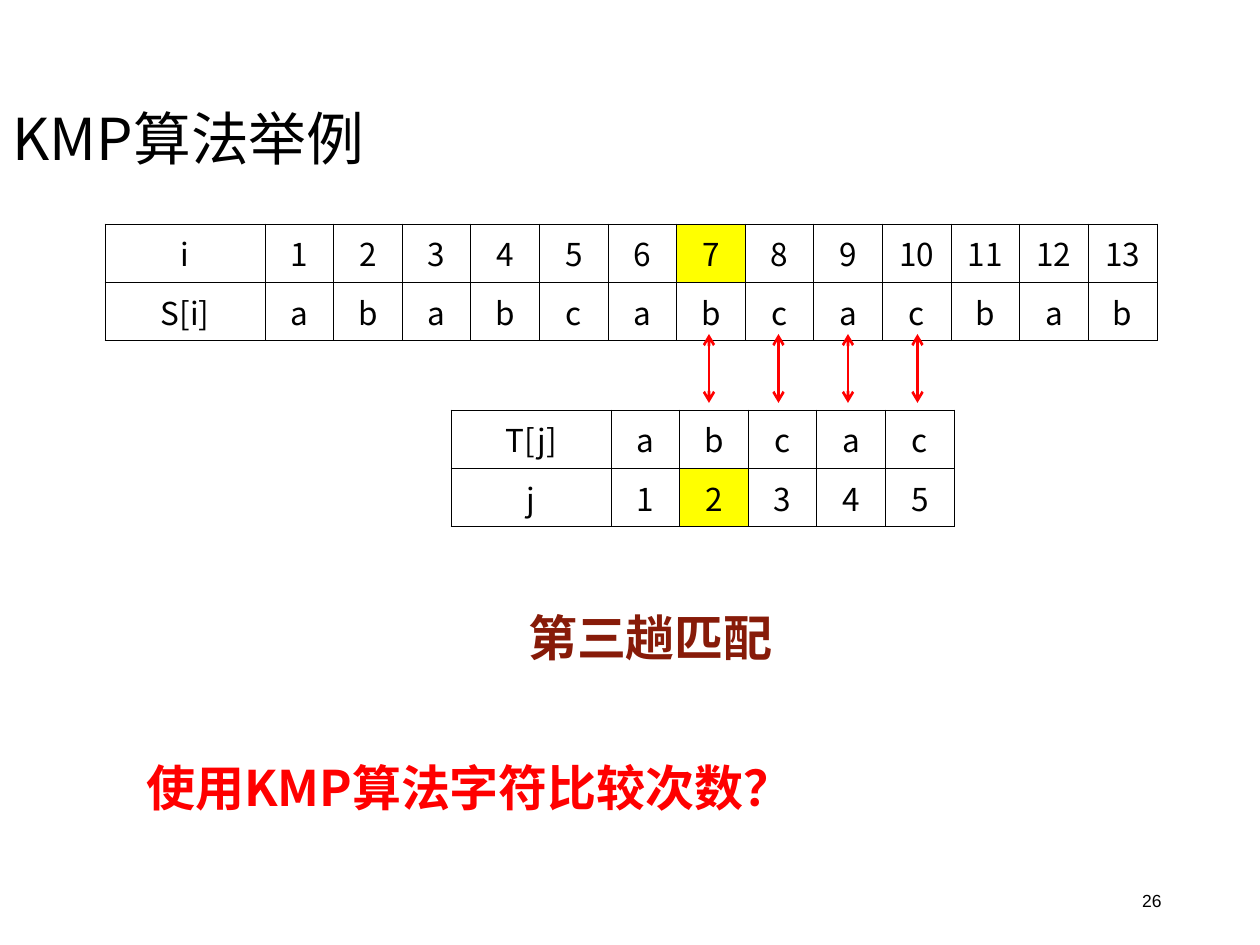
from lxml import etree
from pptx import Presentation
from pptx import util as u
from pptx.dml.color import RGBColor
from pptx.enum import shapes, text
from pptx.oxml import ns

TITLE = ("KMP算法举例", (0, 50, 1087, 183))
TABLES = [
    {"at": (105, 224), "rows": [["i", *map(str, range(1, 14))], ["S[i]", *"ababcabcacbab"]],
     "marked": (0, 7)},
    {"at": (451, 410), "rows": [["T[j]", *"abcac"], ["j", *"12345"]], "marked": (1, 2)},
]
LABEL_WIDTH, TABLE_WIDTH, INDEX_COUNT, ROW_HEIGHT = 160, 1052, 13, 51
MATCHES = {"left": 709, "step": 69.5, "count": 4, "top": 334, "bottom": 403}
TEXTS = [
    ("26", (890, 876, 284, 50), "number"),
    ("第三趟匹配", (392, 601, 517, 72), "caption"),
    ("使用KMP算法字符比较次数？", (134, 751, 893, 72), "question"),
]

CJK, LATIN = "Noto Sans CJK SC", "Arial"
LEFT, CENTER, RIGHT = text.PP_ALIGN.LEFT, text.PP_ALIGN.CENTER, text.PP_ALIGN.RIGHT
TOP, MIDDLE = text.MSO_ANCHOR.TOP, text.MSO_ANCHOR.MIDDLE
THEME = {
    "title": {"size": 33, "name": CJK, "bold": False, "color": "000000", "align": LEFT, "anchor": MIDDLE},
    "cell": {"size": 18, "name": CJK, "bold": False, "color": "000000", "align": CENTER, "anchor": TOP},
    "number": {"size": 10, "name": LATIN, "bold": False, "color": "000000", "align": RIGHT, "anchor": MIDDLE},
    "caption": {"size": 28, "name": LATIN, "bold": True, "color": "871B09", "align": CENTER, "anchor": TOP},
    "question": {"size": 28, "name": CJK, "bold": True, "color": "FF0000", "align": LEFT, "anchor": TOP},
    "border": {"color": "000000", "width": 0.45},
    "arrow": {"color": "FF0000", "width": 1.5},
    "mark": "FFFF00",
}


def px(length):
    return round(length * u.Inches(1) / 126)


def add_xml(parent, tag, **attributes):
    return etree.SubElement(parent, ns.qn(tag), attributes)


def write(frame, words, style_name):
    style = THEME[style_name]
    frame.vertical_anchor = style["anchor"]
    paragraph = frame.paragraphs[0]
    paragraph.alignment = style["align"]
    run = paragraph.add_run()
    run.text = words
    formats = {"size": u.Pt(style["size"]), "name": style["name"], "bold": style["bold"]}
    for attribute, value in formats.items():
        setattr(run.font, attribute, value)
    run.font.color.rgb = RGBColor.from_string(style["color"])
    add_xml(run.font._element, "a:ea", typeface=CJK)
    return paragraph


def add_borders(cell):
    properties = cell._tc.get_or_add_tcPr()
    width = str(u.Pt(THEME["border"]["width"]))
    for side in ("L", "R", "T", "B"):
        line = add_xml(properties, f"a:ln{side}", w=width)
        add_xml(add_xml(line, "a:solidFill"), "a:srgbClr", val=THEME["border"]["color"])


def add_index_table(slide, at, rows, marked):
    index_width = (TABLE_WIDTH - LABEL_WIDTH) / INDEX_COUNT
    widths = [LABEL_WIDTH] + [index_width] * (len(rows[0]) - 1)
    size = (sum(widths), ROW_HEIGHT * len(rows))
    table = slide.shapes.add_table(len(rows), len(widths), *map(px, at + size)).table
    table.first_row = table.horz_banding = False
    for column, width in zip(table.columns, widths):
        column.width = px(width)
    for r, row in enumerate(rows):
        for c, words in enumerate(row):
            cell = table.cell(r, c)
            write(cell.text_frame, words, "cell")
            add_borders(cell)
            if (r, c) == marked:
                cell.fill.solid()
                cell.fill.fore_color.rgb = RGBColor.from_string(THEME["mark"])
            else:
                cell.fill.background()


def add_double_arrow(slide, x, top, bottom):
    arrow = slide.shapes.add_connector(shapes.MSO_CONNECTOR.STRAIGHT, *map(px, (x, top, x, bottom)))
    arrow.line.color.rgb = RGBColor.from_string(THEME["arrow"]["color"])
    arrow.line.width = u.Pt(THEME["arrow"]["width"])
    line = arrow.line._get_or_add_ln()
    for end in ("a:headEnd", "a:tailEnd"):
        add_xml(line, end, type="arrow")
    add_xml(arrow._element.spPr, "a:effectLst")


def main():
    presentation = Presentation()
    presentation.slide_width, presentation.slide_height = px(1260), px(945)
    slide = presentation.slides.add_slide(presentation.slide_layouts[5])

    words, box = TITLE
    title = slide.shapes.title
    title.left, title.top, title.width, title.height = map(px, box)
    write(title.text_frame, words, "title").line_spacing = 0.9

    for table in TABLES:
        add_index_table(slide, **table)
    for i in range(MATCHES["count"]):
        x = MATCHES["left"] + i * MATCHES["step"]
        add_double_arrow(slide, x, MATCHES["top"], MATCHES["bottom"])
    for words, box, style_name in TEXTS:
        frame = slide.shapes.add_textbox(*map(px, box)).text_frame
        frame.word_wrap = True
        write(frame, words, style_name)

    presentation.save("out.pptx")


if __name__ == "__main__":
    main()
